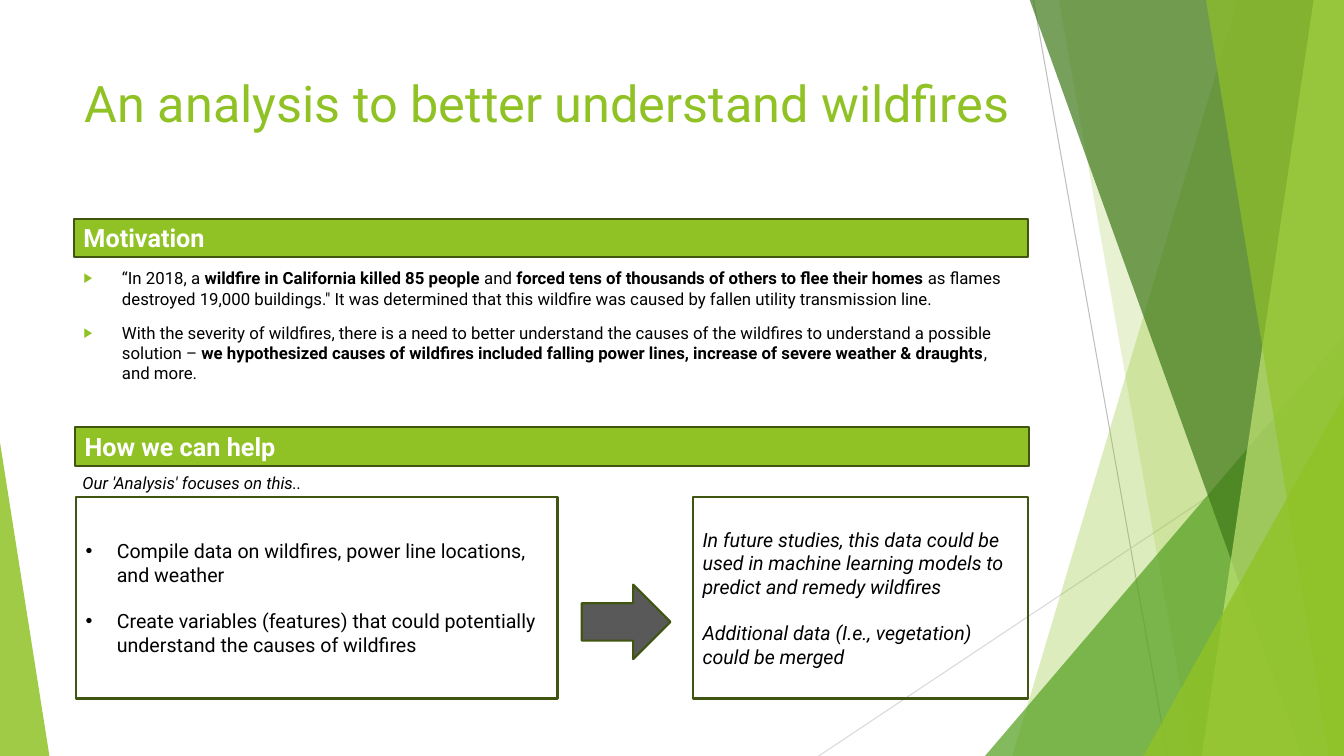
from dataclasses import dataclass
from typing import Optional

from pptx import Presentation
from pptx.dml.color import RGBColor as RGB
from pptx.enum.shapes import MSO_CONNECTOR as Link, MSO_SHAPE as Kind
from pptx.enum.text import MSO_ANCHOR as Anchor, MSO_AUTO_SIZE as Fit, PP_ALIGN as Align
from pptx.oxml.ns import qn
from pptx.oxml.xmlchemy import OxmlElement as Node
from pptx.util import Inches, Pt


@dataclass(frozen=True)
class Theme:
    font: str = "Roboto"
    lime: str = "90C226"
    green: str = "54A021"
    dark: str = "3F7819"
    pale: str = "C0E474"
    edge: str = "3F5511"
    gray: str = "595959"
    black: str = "000000"
    white: str = "FFFFFF"
    title: int = 36
    head: int = 18
    text: int = 14
    small: int = 12
    gap: float = 16.4  # one line of box text


@dataclass(frozen=True)
class Ray:
    start: tuple[float, float]
    end: tuple[float, float]
    color: str


@dataclass(frozen=True)
class Shard:
    """Four-sided panel: top and bottom edges, each left to right."""
    top: tuple[float, float]
    base: tuple[float, float]
    color: str
    alpha: int


@dataclass(frozen=True)
class Wedge:
    left: float
    top: float
    width: float
    peak: float
    color: str
    alpha: int


@dataclass(frozen=True)
class Box:
    left: float
    top: float
    width: float
    height: float
    fill: Optional[str] = None
    kind: Kind = Kind.RECTANGLE


T = Theme()
W, H = 13.33, 7.5

# Backdrop, from back to front
RAYS = [
    Ray((10.25, 0), (11.58, H), "BFBFBF"),
    Ray((W, 4.03), (8.12, H), "D9D9D9"),
]
PANELS = [
    Shard((12.28, W), (10.04, W), T.lime, 30),
    Shard((10.5, W), (11.83, W), T.lime, 20),
    Wedge(9.77, 3.33, 3.56, 1, T.green, 72),
    Shard((10.21, W), (12.91, W), T.dark, 70),
    Shard((13.03, W), (11.92, W), T.pale, 70),
    Shard((11.96, W), (13.18, W), T.lime, 65),
    Wedge(11.34, 3.93, 1.99, 1, T.lime, 80),
    Wedge(0, 4.39, 0.49, 0, T.lime, 85),
]

# Runs alternate between plain and bold
FACTS = [
    ("“In 2018, a ", "wildfire in California killed 85 people", " and ",
     "forced tens of thousands of others to flee their homes",
     " as flames destroyed 19,000 buildings.\" It was determined that this "
     "wildfire was caused by fallen utility transmission line."),
    ("With the severity of wildfires, there is a need to better understand "
     "the causes of the wildfires to understand a possible solution – ",
     "we hypothesized causes of wildfires included falling power lines, "
     "increase of severe weather & draughts", ", and more."),
]
HEADS = [
    ("Motivation", Box(0.73, 2.17, 9.47, 0.38, T.lime)),
    ("How we can help", Box(0.74, 4.24, 9.47, 0.38, T.lime)),
]
TASKS = ["Compile data on wildfires, power line locations, and weather",
         "Create variables (features) that could potentially understand the causes of wildfires"]
PLANS = ["In future studies, this data could be used in machine learning models "
         "to predict and remedy wildfires",
         "Additional data (I.e., vegetation) could be merged"]


def place(shape, left: float, top: float, width: float, height: float) -> None:
    shape.left, shape.top = Inches(left), Inches(top)
    shape.width, shape.height = Inches(width), Inches(height)


def style(font, size: int, color: str, bold: bool = False, italic: bool = False) -> None:
    font.name, font.size = T.font, Pt(size)
    font.bold, font.italic = bold, italic
    font.color.rgb = RGB.from_string(color)


def bullet(para, mark: str, indent: float, color: str, scale: int) -> None:
    props = para._p.get_or_add_pPr()
    props.set("marL", str(Inches(indent)))
    props.set("indent", str(-Inches(indent)))
    tint = Node("a:buClr")
    rgb = Node("a:srgbClr")
    rgb.set("val", color)
    tint.append(rgb)
    props.append(tint)
    for tag, key, val in (("a:buSzPct", "val", str(scale * 1000)),
                          ("a:buFont", "typeface", "Arial"),
                          ("a:buChar", "char", mark)):
        node = Node(tag)
        node.set(key, val)
        props.append(node)


def paint(shape, color: str, alpha: int) -> None:
    shape.shadow.inherit = False
    shape.fill.solid()
    shape.fill.fore_color.rgb = RGB.from_string(color)
    node = Node("a:alpha")
    node.set("val", str(alpha * 1000))
    shape._element.spPr.find(".//" + qn("a:srgbClr")).append(node)
    shape.line.fill.background()


def draw_ray(shapes, ray: Ray) -> None:
    line = shapes.add_connector(Link.STRAIGHT, *map(Inches, ray.start + ray.end))
    line.line.color.rgb = RGB.from_string(ray.color)
    line.line.width = Pt(0.75)
    line._element.spPr.append(Node("a:effectLst"))


def draw_shard(shapes, shard: Shard) -> None:
    (a, b), (c, d) = shard.top, shard.base
    pen = shapes.build_freeform(Inches(a), Inches(-0.01))
    pen.add_line_segments([(Inches(x), Inches(y)) for x, y in ((b, -0.01), (d, H), (c, H))])
    paint(pen.convert_to_shape(), shard.color, shard.alpha)


def draw_wedge(shapes, wedge: Wedge) -> None:
    spot = map(Inches, (wedge.left, wedge.top, wedge.width, H - wedge.top))
    shape = shapes.add_shape(Kind.ISOSCELES_TRIANGLE, *spot)
    shape.adjustments[0] = wedge.peak
    paint(shape, wedge.color, wedge.alpha)


def draw_box(shapes, box: Box):
    spot = map(Inches, (box.left, box.top, box.width, box.height))
    shape = shapes.add_shape(box.kind, *spot)
    shape.shadow.inherit = False
    if box.fill:
        shape.fill.solid()
        shape.fill.fore_color.rgb = RGB.from_string(box.fill)
    else:
        shape.fill.background()
    shape.line.color.rgb = RGB.from_string(T.edge)
    shape.line.width = Pt(1.5)
    return shape


def write(frame, lines: list[str], size: int, color: str, bold: bool = False,
          italic: bool = False, mark: str = "") -> None:
    frame.word_wrap = True
    frame.text = "\n".join(lines)
    for i, para in enumerate(frame.paragraphs):
        para.alignment = Align.LEFT
        if mark:
            bullet(para, mark, 0.31, color, 100)
        if i:
            para.space_before = Pt(T.gap)
        for run in para.runs:
            style(run.font, size, color, bold, italic)


def fill_body(frame) -> None:
    frame.auto_size, frame.vertical_anchor = Fit.NONE, Anchor.TOP
    for i, parts in enumerate(FACTS):
        para = frame.add_paragraph() if i else frame.paragraphs[0]
        bullet(para, "▶", 0.38, T.lime, 80)
        para.space_before = Pt(10 if i else 0)
        for j, part in enumerate(parts):
            run = para.add_run()
            run.text = part
            style(run.font, T.small, T.black, bold=j % 2 == 1)


def main() -> None:
    deck = Presentation()
    deck.slide_width, deck.slide_height = Inches(W), Inches(H)
    slide = deck.slides.add_slide(deck.slide_layouts[1])
    shapes = slide.shapes

    # Title and motivation list
    title, body = shapes.title, slide.placeholders[1]
    place(title, 0.74, 0.67, 9.4, 1.44)
    title.text_frame.auto_size = Fit.NONE
    title.text_frame.vertical_anchor = Anchor.TOP
    write(title.text_frame, ["An analysis to better understand wildfires"], T.title, T.lime)
    place(body, 0.73, 2.61, 9.41, 1.56)
    fill_body(body.text_frame)

    # Backdrop
    for ray in RAYS:
        draw_ray(shapes, ray)
    for panel in PANELS:
        (draw_shard if isinstance(panel, Shard) else draw_wedge)(shapes, panel)

    # Section bars
    for text, bar in HEADS:
        write(draw_box(shapes, bar).text_frame, [text], T.head, T.white, bold=True)

    # Tasks, arrow and plans
    tasks = draw_box(shapes, Box(0.75, 4.93, 4.78, 2))
    write(tasks.text_frame, TASKS, T.text, T.black, mark="•")
    plans = draw_box(shapes, Box(6.87, 4.93, 3.33, 2))
    write(plans.text_frame, PLANS, T.text, T.black, italic=True)
    draw_box(shapes, Box(5.77, 5.8, 0.88, 0.74, T.gray, Kind.RIGHT_ARROW))

    # Caption
    note = shapes.add_textbox(*map(Inches, (0.72, 4.64, 3.56, 0.3)))
    note.text_frame.auto_size = Fit.SHAPE_TO_FIT_TEXT
    write(note.text_frame, ["Our 'Analysis' focuses on this.."], T.small, T.black, italic=True)

    deck.save("out.pptx")


if __name__ == "__main__":
    main()
